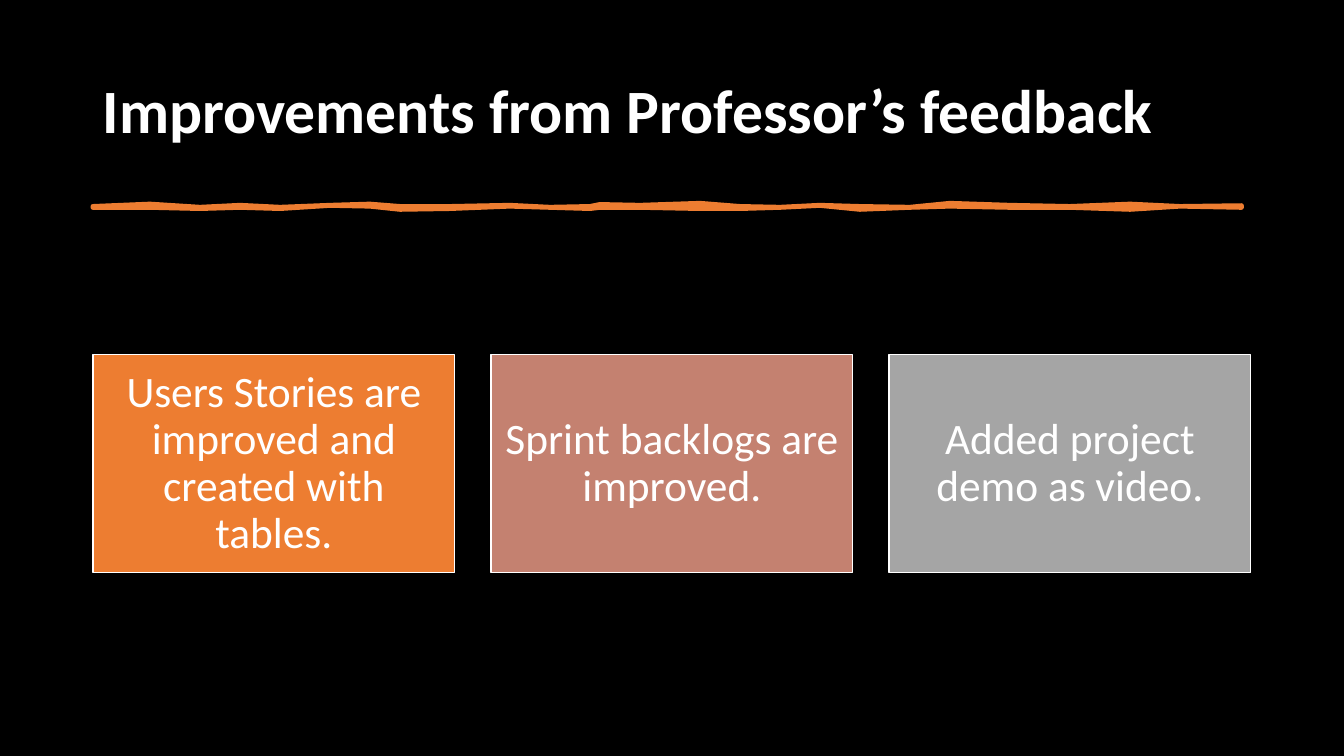
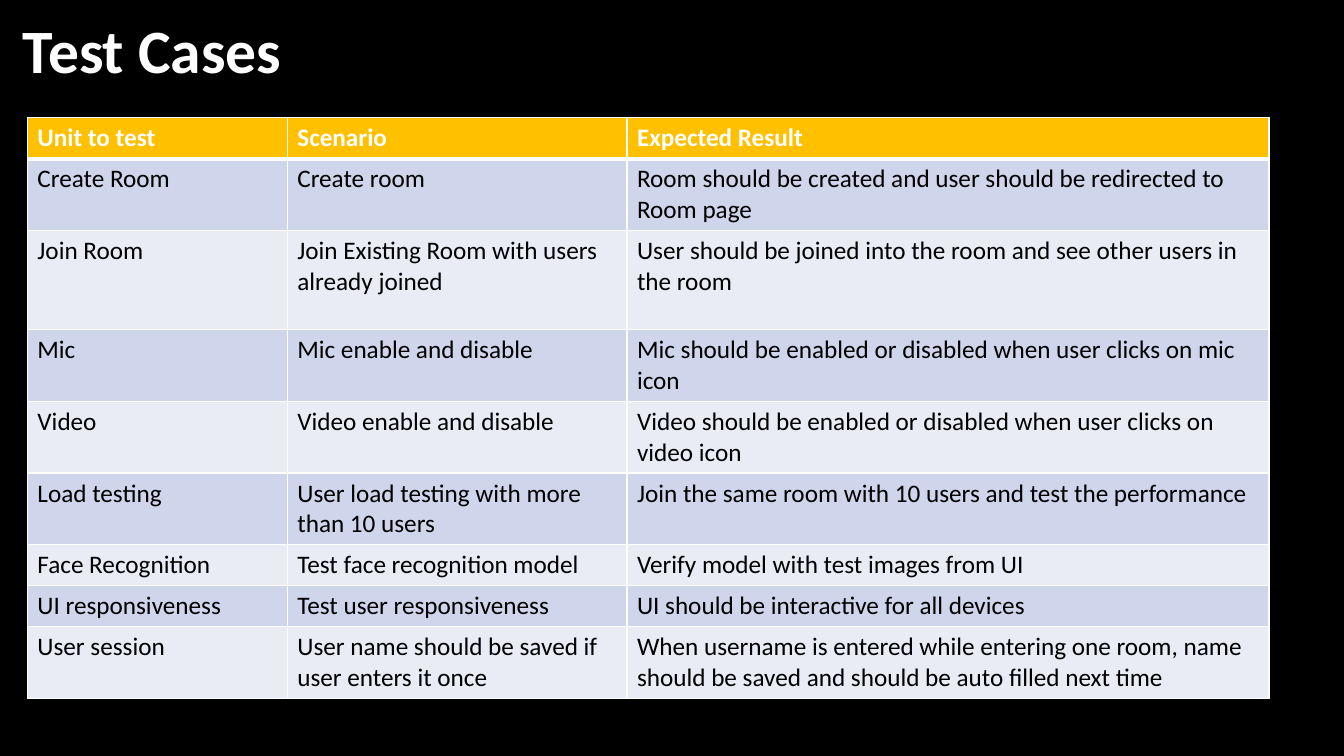
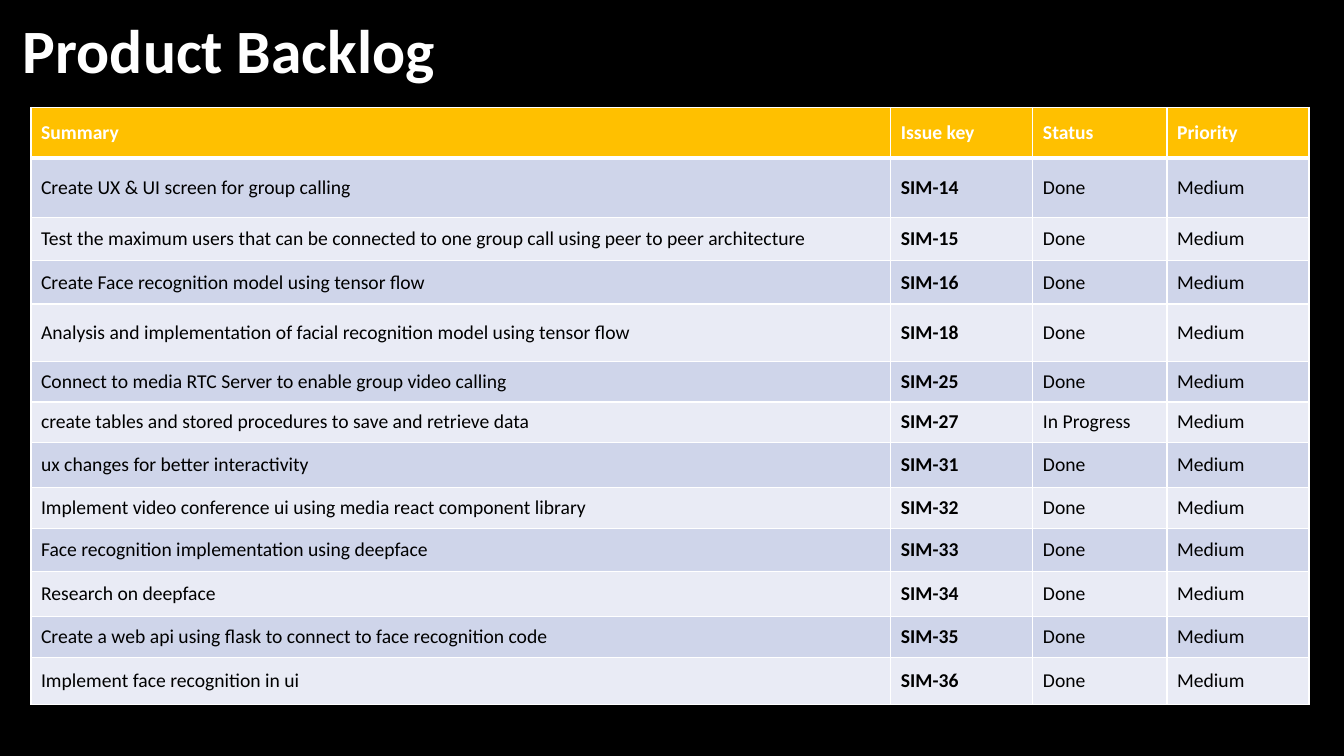
from dataclasses import dataclass

from lxml import etree
from pptx import Presentation
from pptx.dml.color import RGBColor
from pptx.enum.shapes import MSO_SHAPE
from pptx.enum.text import MSO_ANCHOR, PP_ALIGN
from pptx.oxml.ns import qn
from pptx.util import Cm, Pt

RECTANGLE = MSO_SHAPE.RECTANGLE
TOP, MIDDLE = MSO_ANCHOR.TOP, MSO_ANCHOR.MIDDLE
LEFT, CENTER = PP_ALIGN.LEFT, PP_ALIGN.CENTER


@dataclass(frozen=True)
class Theme:
    font: str = "Calibri"
    background: str = "000000"
    light: str = "FFFFFF"
    dark: str = "000000"
    accent: str = "ED7D31"
    rose: str = "C48170"
    gray: str = "A5A5A5"
    header: str = "FFC000"
    bands: tuple = ("CFD5EA", "E9EBF5")
    title_size: int = 44
    card_size: int = 31
    test_size: int = 18
    backlog_size: int = 14


THEME = Theme()

CARDS = [
    ("Users Stories are improved and created with tables.", THEME.accent),
    ("Sprint backlogs are improved.", THEME.rose),
    ("Added project demo as video.", THEME.gray),
]

# Brush stroke: x in cm, then extent above and below its axis in 1/100 cm
STROKE_POINTS = [
    (2.34, 0, 3), (3.78, 6, 3), (5.04, -2, 6), (6.05, 3, 3), (7.06, -2, 6),
    (8.32, 3, -2), (9.32, 6, 0), (10.08, 0, 8), (11.34, 0, 6), (12.85, 3, 0),
    (13.86, -2, 3), (14.87, 0, 6), (15.12, 5, 3), (16.13, 3, 3), (17.64, 8, 6),
    (18.65, 0, 6), (19.66, -2, 3), (20.66, 3, -2), (21.67, 0, 8), (22.93, -2, 3),
    (23.94, 8, 0), (25.45, 3, 3), (26.96, 0, 3), (28.48, 6, 8), (29.74, 0, 0),
    (31.29, 2, 3),
]

TEST_CASES = [
    ("Unit to test", "Scenario", "Expected Result"),
    ("Create Room", "Create room",
     "Room should be created and user should be redirected to Room page"),
    ("Join Room", "Join Existing Room with users already joined",
     "User should be joined into the room and see other users in the room"),
    ("Mic", "Mic enable and disable",
     "Mic should be enabled or disabled when user clicks on mic icon"),
    ("Video", "Video enable and disable",
     "Video should be enabled or disabled when user clicks on video icon"),
    ("Load testing", "User load testing with more than 10 users",
     "Join the same room with 10 users and test the performance"),
    ("Face Recognition", "Test face recognition model",
     "Verify model with test images from UI"),
    ("UI responsiveness", "Test user responsiveness",
     "UI should be interactive for all devices"),
    ("User session", "User name should be saved if user enters it once",
     "When username is entered while entering one room, name should be saved "
     "and should be auto filled next time"),
]
TEST_COLUMNS = [6.55, 8.56, 16.18]
ONE_LINE, TWO_LINES = 1.03, 1.81
TEST_ROWS = [ONE_LINE, TWO_LINES, 2.49, TWO_LINES, TWO_LINES, TWO_LINES,
             ONE_LINE, ONE_LINE, TWO_LINES]

# Summary, issue number, status, row height in cm
ISSUES = [
    ("Create UX & UI screen for group calling", 14, "Done", 1.5),
    ("Test the maximum users that can be connected to one group call using "
     "peer to peer architecture", 15, "Done", 1.09),
    ("Create Face recognition model using tensor flow", 16, "Done", 1.09),
    ("Analysis and implementation of facial recognition model using tensor flow",
     18, "Done", 1.45),
    ("Connect to media RTC Server to enable group video calling", 25, "Done", 1.02),
    ("create tables and stored procedures to save and retrieve data",
     27, "In Progress", 1.02),
    ("ux changes for better interactivity", 31, "Done", 1.14),
    ("Implement video conference ui using media react component library",
     32, "Done", 1.02),
    ("Face recognition implementation using deepface", 33, "Done", 1.09),
    ("Research on deepface", 34, "Done", 1.14),
    ("Create a web api using flask to connect to face recognition code",
     35, "Done", 1.02),
    ("Implement face recognition in ui", 36, "Done", 1.19),
]
BACKLOG = [("Summary", "Issue key", "Status", "Priority")] + [
    (summary, f"SIM-{number}", status, "Medium")
    for summary, number, status, _ in ISSUES
]
BACKLOG_COLUMNS = [21.67, 3.58, 3.38, 3.58]
BACKLOG_ROWS = [1.27] + [issue[-1] for issue in ISSUES]


def rgb(color):
    return RGBColor.from_string(color)


def write(frame, text, *, size, color=THEME.light, bold=False, align=LEFT, spacing=1.0):
    frame.word_wrap = True
    paragraph = frame.paragraphs[0]
    paragraph.alignment = align
    paragraph.line_spacing = spacing
    run = paragraph.add_run()
    run.text = text
    run.font.name = THEME.font
    run.font.size = Pt(size)
    run.font.bold = bold
    run.font.color.rgb = rgb(color)


def paint(shape, fill, line, width):
    shape.shadow.inherit = False
    shape.fill.solid()
    shape.fill.fore_color.rgb = rgb(fill)
    shape.line.color.rgb = rgb(line)
    shape.line.width = Pt(width)


def add_slide(presentation, title, left=0.33, top=0.28, width=12.75, height=2.13):
    slide = presentation.slides.add_slide(presentation.slide_layouts[6])
    box = slide.shapes.add_textbox(Cm(left), Cm(top), Cm(width), Cm(height))
    box.text_frame.vertical_anchor = MIDDLE
    write(box.text_frame, title, size=THEME.title_size, bold=True, spacing=0.9)
    return slide


def add_brush_stroke(slide, axis=5.2):
    upper = [(Cm(x), Cm(axis - above / 100)) for x, above, _ in STROKE_POINTS]
    lower = [(Cm(x), Cm(axis + below / 100)) for x, _, below in STROKE_POINTS]
    builder = slide.shapes.build_freeform(*upper[0])
    builder.add_line_segments(upper[1:] + lower[::-1], close=True)
    paint(builder.convert_to_shape(), THEME.accent, THEME.accent, 3.25)


def add_cards(slide, left=2.34, top=8.94, width=9.12, height=5.49, gap=0.91):
    for index, (text, color) in enumerate(CARDS):
        card = slide.shapes.add_shape(
            RECTANGLE, Cm(left + index * (width + gap)), Cm(top), Cm(width), Cm(height))
        paint(card, color, THEME.light, 1)
        frame = card.text_frame
        frame.margin_left = frame.margin_right = Cm(0.33)
        frame.margin_top = frame.margin_bottom = Cm(0.33)
        frame.vertical_anchor = MIDDLE
        write(frame, text, size=THEME.card_size, align=CENTER, spacing=0.9)


def set_borders(cell, top, bottom):
    """Draw white cell borders; top and bottom are widths in points."""
    properties = cell._tc.get_or_add_tcPr()
    for side, width in (("L", 1), ("R", 1), ("T", top), ("B", bottom)):
        line = etree.SubElement(properties, qn(f"a:ln{side}"), w=str(Pt(width)))
        fill = etree.SubElement(line, qn("a:solidFill"))
        etree.SubElement(fill, qn("a:srgbClr"), val=THEME.light)


def add_grid(slide, rows, columns, heights, *, left, top, size, anchor=TOP, bold_column=None):
    table = slide.shapes.add_table(
        len(rows), len(columns), Cm(left), Cm(top),
        Cm(sum(columns)), Cm(sum(heights))).table
    table.horz_banding = False
    for column, width in zip(table.columns, columns):
        column.width = Cm(width)
    for row_index, (values, height) in enumerate(zip(rows, heights)):
        table.rows[row_index].height = Cm(height)
        is_header = row_index == 0
        fill = THEME.header if is_header else THEME.bands[(row_index - 1) % 2]
        for column_index, value in enumerate(values):
            cell = table.cell(row_index, column_index)
            set_borders(cell, top=3 if row_index == 1 else 1, bottom=3 if is_header else 1)
            cell.fill.solid()
            cell.fill.fore_color.rgb = rgb(fill)
            cell.vertical_anchor = anchor
            write(cell.text_frame, value, size=size,
                  color=THEME.light if is_header else THEME.dark,
                  bold=is_header or column_index == bold_column)


def main():
    presentation = Presentation()
    presentation.slide_width, presentation.slide_height = Cm(33.87), Cm(19.05)
    background = presentation.slide_master.background.fill
    background.solid()
    background.fore_color.rgb = rgb(THEME.background)

    improvements = add_slide(presentation, "Improvements from Professor’s feedback",
                             left=2.34, top=1.02, width=29.21, height=3.68)
    add_brush_stroke(improvements)
    add_cards(improvements)

    tests = add_slide(presentation, "Test Cases")
    add_grid(tests, TEST_CASES, TEST_COLUMNS, TEST_ROWS,
             left=0.69, top=2.97, size=THEME.test_size)

    backlog = add_slide(presentation, "Product Backlog")
    add_grid(backlog, BACKLOG, BACKLOG_COLUMNS, BACKLOG_ROWS, left=0.78, top=2.71,
             size=THEME.backlog_size, anchor=MIDDLE, bold_column=1)

    presentation.save("out.pptx")


if __name__ == "__main__":
    main()
